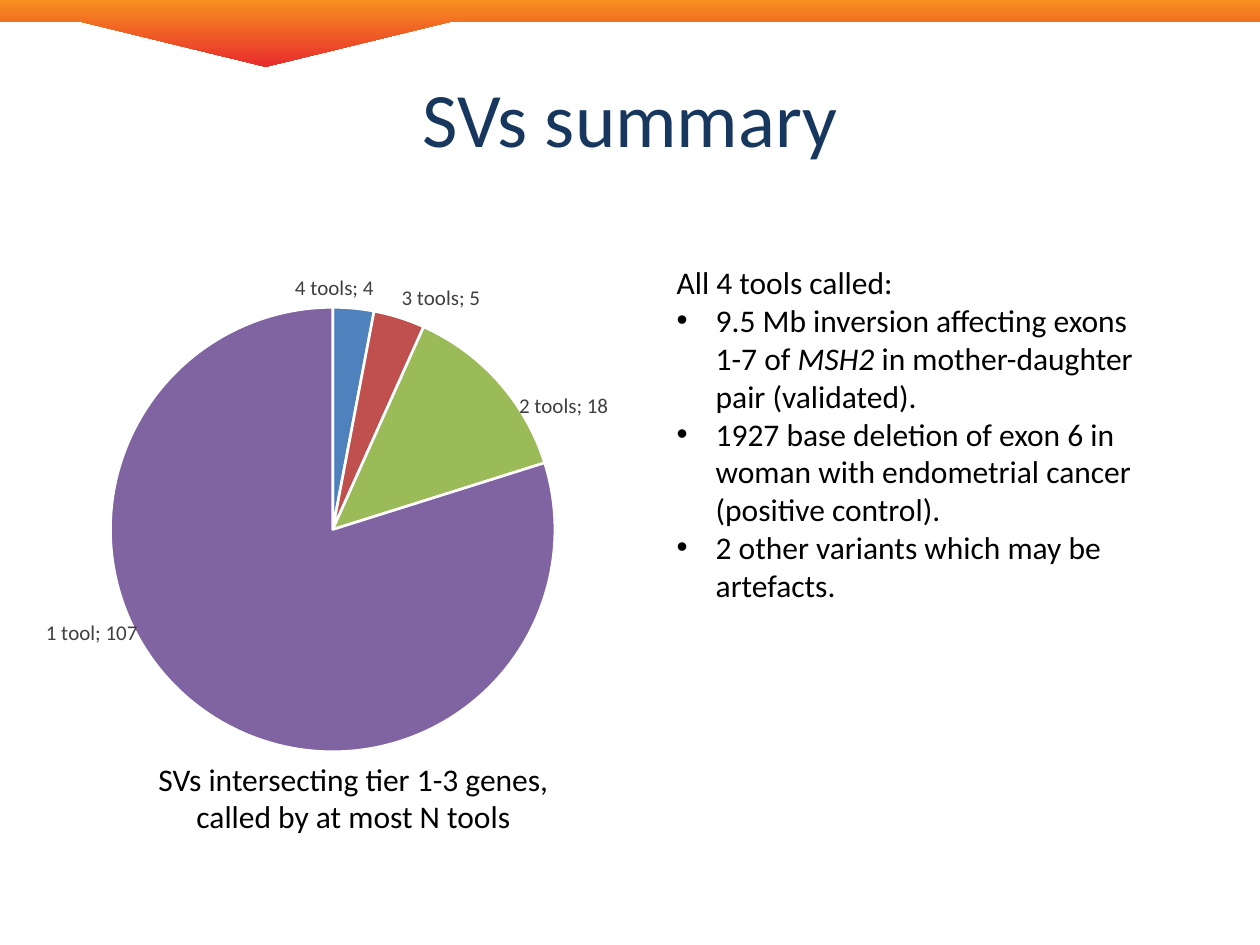
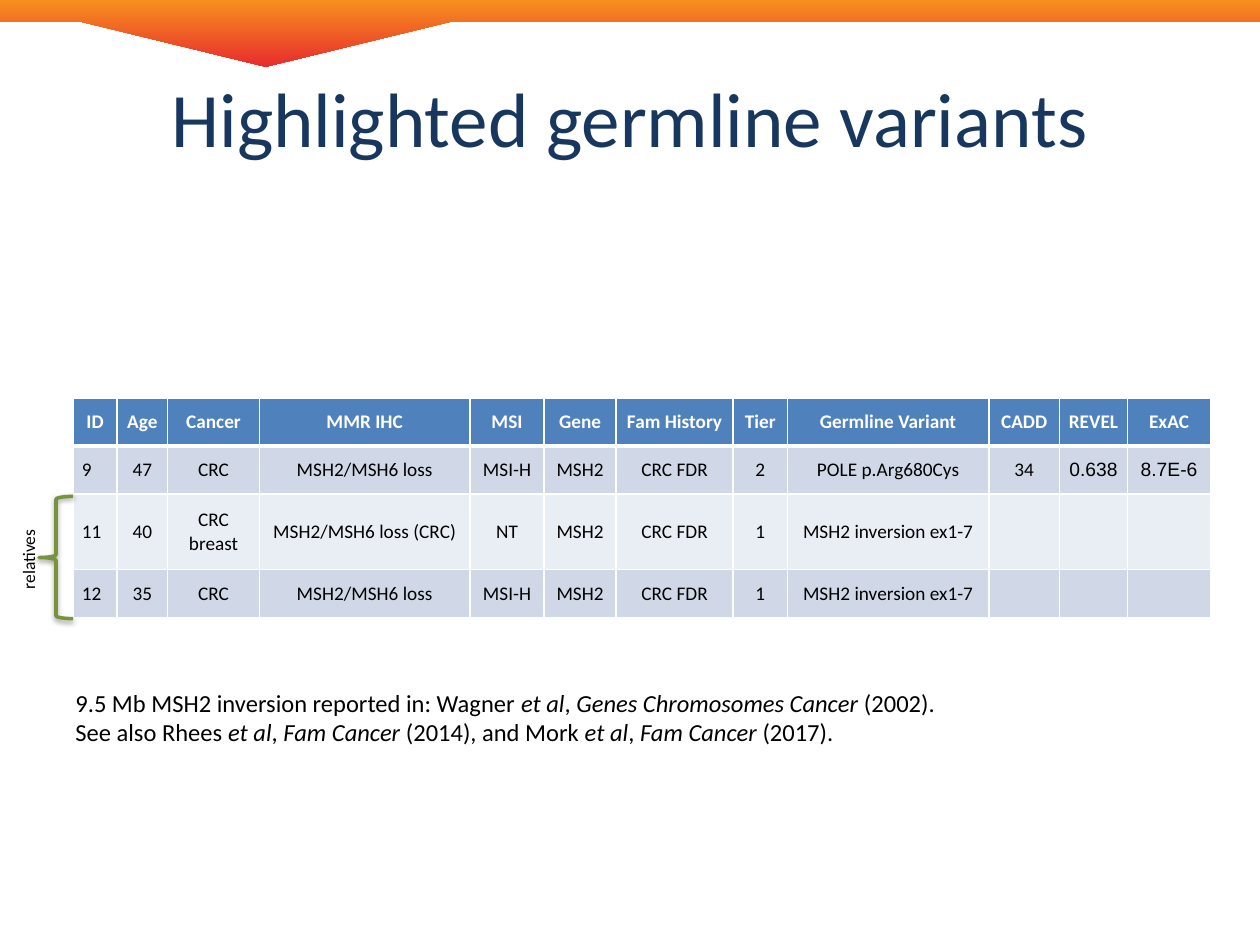
"""Build two slides on structural and germline variants."""
import dataclasses

import lxml.etree
import pptx
import pptx.chart.data
import pptx.dml.color
import pptx.enum.chart
import pptx.enum.shapes
import pptx.enum.text
import pptx.oxml.ns
import pptx.util

Inches = pptx.util.Inches
Pt = pptx.util.Pt
qn = pptx.oxml.ns.qn
ALIGN = pptx.enum.text.PP_ALIGN
ANCHOR = pptx.enum.text.MSO_ANCHOR


@dataclasses.dataclass(frozen=True)
class Theme:
    """Hold the fonts, colours and type sizes of the slides."""
    font: str = "Calibri"
    number_font: str = "Arial"
    title: str = "17375E"
    text: str = "000000"
    label: str = "404040"
    white: str = "FFFFFF"
    band: tuple = ("F7901E", "E82C2E")
    slices: tuple = ("4F81BD", "C0504D", "9BBB59", "8064A2")
    header: str = "4F81BD"
    rows: tuple = ("D0D8E8", "E9EDF4")
    brace: str = "77933C"
    title_size: int = 44
    body_size: int = 18
    reference_size: int = 14
    label_size: int = 12
    table_size: int = 11
    brace_size: int = 10


THEME = Theme()
TOOL_CALLS = {"4 tools": 4, "3 tools": 5, "2 tools": 18, "1 tool": 107}
LABEL_SHIFTS = {0: (-0.08, 0), 2: (0.02, 0.08), 3: (-0.08, -0.18)}
CALLED_VARIANTS = (
    "9.5 Mb inversion affecting exons 1-7 of *MSH2 *in mother-daughter pair (validated).",
    "1927 base deletion of exon 6 in woman with endometrial cancer (positive control).",
    "2 other variants which may be artefacts.",
)
COLUMNS = {
    "ID": 0.35, "Age": 0.4, "Cancer": 0.73, "MMR IHC": 1.67, "MSI": 0.59, "Gene": 0.57,
    "Fam History": 0.93, "Tier": 0.43, "Germline Variant": 1.6, "CADD": 0.56,
    "REVEL": 0.54, "ExAC": 0.66,
}
PATIENTS = (
    ("9", "47", "CRC", "MSH2/MSH6 loss", "MSI-H", "MSH2", "CRC FDR", "2",
     "POLE p.Arg680Cys", "34", "0.638", "8.7E-6"),
    ("11", "40", "CRC\nbreast", "MSH2/MSH6 loss (CRC)", "NT", "MSH2", "CRC FDR", "1",
     "MSH2 inversion ex1-7", "", "", ""),
    ("12", "35", "CRC", "MSH2/MSH6 loss", "MSI-H", "MSH2", "CRC FDR", "1",
     "MSH2 inversion ex1-7", "", "", ""),
)
ROW_HEIGHTS = (0.38, 0.38, 0.6, 0.38)
REFERENCES = (
    "9.5 Mb MSH2 inversion reported in: Wagner *et al*, *Genes Chromosomes Cancer *(2002).",
    "See also Rhees *et al*, *Fam Cancer *(2014), and Mork *et al*, *Fam Cancer *(2017).",
)


def rgb(value):
    """Return the colour of a hexadecimal string."""
    return pptx.dml.color.RGBColor.from_string(value)


def apply(target, values):
    """Set each attribute of the target from a dict."""
    for name, value in values.items():
        setattr(target, name, value)


def format_font(font, size, colour=THEME.text, **values):
    """Give a font its face, size, colour and further values."""
    apply(font, {"name": THEME.font, "size": Pt(size), **values})
    font.color.rgb = rgb(colour)


def place(shape, box):
    """Move a shape to a box in inches."""
    apply(shape, dict(zip(("left", "top", "width", "height"), map(Inches, box))))


def write_runs(paragraph, text, size):
    """Write text in which asterisks enclose italic parts."""
    for index, part in enumerate(text.split("*")):
        if part:
            run = paragraph.add_run()
            run.text = part
            format_font(run.font, size, italic=index % 2 == 1)


def add_lines(frame, lines, size, alignment=ALIGN.LEFT):
    """Fill a text frame with one paragraph a line."""
    for index, line in enumerate(lines):
        paragraph = frame.add_paragraph() if index else frame.paragraphs[0]
        paragraph.alignment = alignment
        write_runs(paragraph, line, size)


def add_text(slide, box, lines, size, alignment=ALIGN.LEFT, wrap=True):
    """Add a text box and return it."""
    shape = slide.shapes.add_textbox(*map(Inches, box))
    shape.text_frame.word_wrap = wrap
    add_lines(shape.text_frame, lines, size, alignment)
    return shape


def add_band(slide, box):
    """Draw the gradient band with its downward point."""
    left, top, width, height = box
    edge = top + 0.17
    outline = [(left + width, top), (left + width, edge), (left + 3.59, edge),
               (left + 2.11, top + height), (left + 0.63, edge), (left, edge)]
    builder = slide.shapes.build_freeform(Inches(left), Inches(top))
    builder.add_line_segments([tuple(map(Inches, point)) for point in outline])
    band = builder.convert_to_shape()
    band.shadow.inherit = False
    band.line.fill.background()
    band.fill.gradient()
    band.fill.gradient_angle = 270
    for position, (stop, colour) in enumerate(zip(band.fill.gradient_stops, THEME.band)):
        stop.position = position
        stop.color.rgb = rgb(colour)


def start_slide(presentation, layout, title):
    """Add a slide with the shared band and title."""
    slide = presentation.slides.add_slide(presentation.slide_layouts.get_by_name(layout))
    add_band(slide, (0, 0, 10, 0.53))
    shape = slide.shapes.title
    place(shape, (0.5, 0.3, 9, 1.25))
    shape.text_frame.vertical_anchor = ANCHOR.MIDDLE
    paragraph = shape.text_frame.paragraphs[0]
    paragraph.text = title
    paragraph.alignment = ALIGN.CENTER
    format_font(paragraph.runs[0].font, THEME.title_size, THEME.title)
    return slide


def add_layout(parent, index, values):
    """Insert a manual layout with the given values in a chart element."""
    layout = lxml.etree.Element(qn("c:layout"))
    manual = lxml.etree.SubElement(layout, qn("c:manualLayout"))
    for name, value in values.items():
        lxml.etree.SubElement(manual, qn(f"c:{name}")).set("val", str(value))
    for existing in parent.findall(qn("c:layout")):
        parent.remove(existing)
    parent.insert(index, layout)


def label_slices(series):
    """Colour each slice and show its name and value outside."""
    for index, colour in enumerate(THEME.slices):
        point = series.points[index]
        point.format.fill.solid()
        point.format.fill.fore_color.rgb = rgb(colour)
        point.format.line.width = Pt(1.5)
        point.format.line.color.rgb = rgb(THEME.white)
        format_font(point.data_label.font, THEME.label_size, THEME.label)
        point.data_label.position = pptx.enum.chart.XL_LABEL_POSITION.OUTSIDE_END
    for index, label in enumerate(series._element.iter(qn("c:dLbl"))):
        label.find(qn("c:showCatName")).set("val", "1")
        lxml.etree.SubElement(label, qn("c:separator")).text = "; "
        if index in LABEL_SHIFTS:
            add_layout(label, 1, dict(zip("xy", LABEL_SHIFTS[index])))
    for leader_lines in series._element.iter(qn("c:showLeaderLines")):
        leader_lines.set("val", "0")


def add_tool_pie(slide, box):
    """Add the pie of variants by number of tools."""
    data = pptx.chart.data.CategoryChartData()
    data.categories = list(TOOL_CALLS)
    data.add_series("Series 1", list(TOOL_CALLS.values()))
    kind = pptx.enum.chart.XL_CHART_TYPE.PIE
    chart = slide.shapes.add_chart(kind, *map(Inches, box), data).chart
    apply(chart, {"has_title": False, "has_legend": False})
    format_font(chart.font, THEME.brace_size)
    chart.plots[0].vary_by_categories = True
    label_slices(chart.plots[0].series[0])
    plot_area = next(chart._chartSpace.iter(qn("c:plotArea")))
    add_layout(plot_area, 0, {"layoutTarget": "inner", "xMode": "edge", "yMode": "edge",
                              "x": 0.19, "y": 0.09, "w": 0.6, "h": 0.86})


def set_bullet(paragraph, indent):
    """Give a paragraph a hanging round bullet, or none without an indent."""
    properties = paragraph._p.get_or_add_pPr()
    for name, value in {"marL": Inches(indent), "indent": -Inches(indent)}.items():
        properties.set(name, str(value))
    if indent:
        lxml.etree.SubElement(properties, qn("a:buFont")).set("typeface", THEME.number_font)
        lxml.etree.SubElement(properties, qn("a:buChar")).set("char", "•")
    else:
        lxml.etree.SubElement(properties, qn("a:buNone"))


def add_called_list(slide, box):
    """Fill the body placeholder with the variants all tools called."""
    body = slide.placeholders[1]
    place(body, box)
    frame = body.text_frame
    apply(frame, {"auto_size": pptx.enum.text.MSO_AUTO_SIZE.NONE,
                  "word_wrap": True, "vertical_anchor": ANCHOR.TOP})
    add_lines(frame, ("All 4 tools called:",) + CALLED_VARIANTS, THEME.body_size)
    for index, paragraph in enumerate(frame.paragraphs):
        apply(paragraph, {"level": min(index, 1), "space_before": Pt(0)})
        set_bullet(paragraph, 0.31 if index else 0)


def set_borders(cell, row):
    """Draw white cell borders, thicker below the header."""
    widths = {"lnL": 1, "lnR": 1, "lnT": 3 if row == 1 else 1, "lnB": 1 if row else 3}
    properties = cell._tc.get_or_add_tcPr()
    for name, width in widths.items():
        line = lxml.etree.SubElement(properties, qn(f"a:{name}"), w=str(Pt(width)))
        fill = lxml.etree.SubElement(line, qn("a:solidFill"))
        lxml.etree.SubElement(fill, qn("a:srgbClr"), val=THEME.white)


def fill_cell(cell, text, row, column):
    """Write and format one table cell."""
    side = Inches(0.07 if row else 0.03)
    apply(cell, {"text": text, "vertical_anchor": ANCHOR.MIDDLE,
                 "margin_left": side, "margin_right": side,
                 "margin_top": Inches(0.07), "margin_bottom": Inches(0.07)})
    set_borders(cell, row)
    cell.fill.solid()
    cell.fill.fore_color.rgb = rgb(THEME.rows[(row - 1) % 2] if row else THEME.header)
    face = THEME.number_font if row and column >= len(COLUMNS) - 2 else THEME.font
    for paragraph in cell.text_frame.paragraphs:
        paragraph.alignment = ALIGN.LEFT if row and not column else ALIGN.CENTER
        for run in paragraph.runs:
            format_font(run.font, THEME.table_size, THEME.text if row else THEME.white,
                        name=face, bold=not row)
        if not text:
            lxml.etree.SubElement(paragraph._p, qn("a:endParaRPr"),
                                  sz=str(THEME.table_size * 100))


def add_variant_table(slide, box):
    """Add the table of patients and germline variants."""
    rows = (tuple(COLUMNS),) + PATIENTS
    table = slide.shapes.add_table(len(rows), len(COLUMNS), *map(Inches, box)).table
    for column, width in zip(table.columns, COLUMNS.values()):
        column.width = Inches(width)
    for row, height in zip(table.rows, ROW_HEIGHTS):
        row.height = Inches(height)
    for row, texts in enumerate(rows):
        for column, text in enumerate(texts):
            fill_cell(table.cell(row, column), text, row, column)


def add_relatives(slide, box):
    """Draw the brace with its upright label to the left."""
    left, top, width, height = box
    kind = pptx.enum.shapes.MSO_SHAPE.LEFT_BRACE
    brace = slide.shapes.add_shape(kind, *map(Inches, box))
    brace.fill.background()
    brace.line.color.rgb = rgb(THEME.brace)
    brace.line.width = Pt(2)
    brace.shadow.inherit = False
    effects = brace._element.spPr.find(qn("a:effectLst"))
    shadow = lxml.etree.SubElement(effects, qn("a:outerShdw"), blurRad=str(Pt(3.1)),
                                   dist=str(Pt(1.6)), dir="5400000", rotWithShape="0")
    colour = lxml.etree.SubElement(shadow, qn("a:srgbClr"), val=THEME.text)
    lxml.etree.SubElement(colour, qn("a:alpha"), val="38000")
    label_box = (left - 0.43, top + height / 2 - 0.13, 0.69, 0.27)
    label = add_text(slide, label_box, ["relatives"], THEME.brace_size, wrap=False)
    label.rotation = 270


def build_summary(presentation):
    """Build the slide with the pie and the list."""
    slide = start_slide(presentation, "Title and Content", "SVs summary")
    add_tool_pie(slide, (-0.24, 2.04, 5.88, 4.16))
    add_text(slide, (1.14, 5.98, 3.33, 0.71),
             ["SVs intersecting tier 1-3 genes, called by at most N tools"],
             THEME.body_size, ALIGN.CENTER)
    add_called_list(slide, (5.27, 2.04, 4.02, 2.83))


def build_variants(presentation):
    """Build the slide with the variant table."""
    slide = start_slide(presentation, "Title Only", "Highlighted germline variants")
    add_variant_table(slide, (0.58, 3.16, 9.03, 1.76))
    add_relatives(slide, (0.31, 3.94, 0.27, 0.97))
    add_text(slide, (0.5, 5.41, 7.08, 0.57), REFERENCES, THEME.reference_size, wrap=False)


def main():
    """Build and save the presentation."""
    presentation = pptx.Presentation()
    apply(presentation, {"slide_width": Inches(10), "slide_height": Inches(7.5)})
    build_summary(presentation)
    build_variants(presentation)
    presentation.save("out.pptx")


if __name__ == "__main__":
    main()
